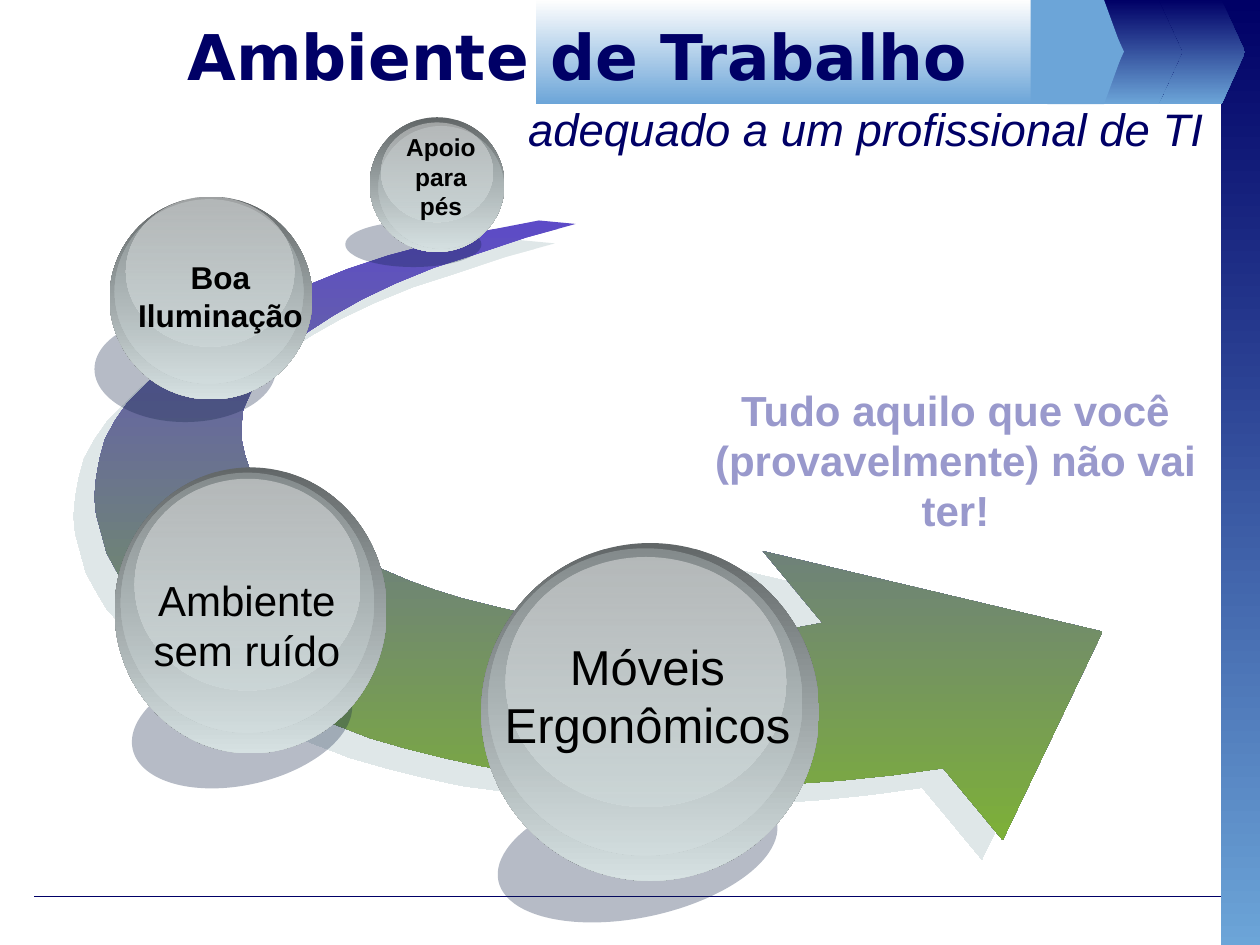
import lxml.etree
import pptx
import pptx.dml.color
import pptx.enum.dml
import pptx.enum.shapes
import pptx.enum.text
import pptx.oxml.ns
import pptx.util

Pt = pptx.util.Pt
qn = pptx.oxml.ns.qn
OVAL = pptx.enum.shapes.MSO_SHAPE.OVAL
RECT = pptx.enum.shapes.MSO_SHAPE.RECTANGLE

COLORS = {
    "navy": "000066", "sky": "6CA5D8", "white": "FEFEFE", "black": "000000",
    "lilac": "9999CC", "violet": "5D4BC7", "green": "7DB038",
    "arrow_shadow": "C1D1D3", "cast": "0F2145",
    "steel": "626768", "silver": "A8B1B2", "mist": "D6E1E2",
}

# Swoosh outline: outer edge, arrowhead, then inner edge back to the tail
SWOOSH_ORIGIN = (54, 126)
SWOOSH = [
    (308, 126), (277, 132), (248, 139), (222, 146), (198, 154), (176, 163),
    (155, 171), (137, 180), (120, 189), (106, 199), (93, 210), (83, 220),
    (73, 230), (66, 240), (60, 251), (57, 262), (55, 273), (54, 284),
    (55, 294), (58, 305), (61, 316), (67, 327), (73, 337), (82, 347),
    (91, 357), (103, 366), (115, 376), (128, 384), (143, 393), (158, 401),
    (176, 408), (194, 415), (212, 422), (233, 428), (253, 433), (276, 438),
    (299, 441), (323, 445), (347, 447), (372, 449), (398, 449), (426, 449),
    (453, 448), (481, 446), (510, 443), (539, 439),
    (573, 480), (630, 361), (436, 315), (470, 356),
    (454, 359), (436, 361), (419, 361), (402, 361), (384, 361), (366, 360),
    (348, 359), (331, 356), (314, 354), (297, 350), (280, 346), (264, 342),
    (248, 337), (234, 332), (220, 326), (206, 320), (194, 313), (182, 307),
    (172, 300), (163, 292), (155, 284), (148, 276), (143, 269), (140, 260),
    (138, 251), (138, 243), (139, 234), (143, 225), (148, 216), (156, 207),
    (165, 198), (177, 189), (191, 180), (207, 171), (226, 162), (248, 153),
    (273, 145), (300, 136), (329, 128),
]

# Boxes are left, top, width, height; rim and gloss are offsets inside the ball
BALLS = [
    dict(box=(275, 310.3, 193, 193), rim=(4, 3), gloss=(14, 8),
         cast=(283, 448.6, 162.7, 75.6), tilt=-12.1,
         caption=(270, 360, 200, 75), lines=["Móveis", "Ergonômicos"],
         size=28, bold=False),
    dict(box=(65.5, 267.1, 155.5, 163.4), rim=(3.6, 3), gloss=(11.5, 6.5),
         cast=(74.2, 379.4, 128.2, 69.1), tilt=-12.9,
         caption=(71.1, 324.7, 140, 64.8), lines=["Ambiente", "sem ruído"],
         size=24, bold=False),
    dict(box=(62.6, 112.3, 115.9, 115.9), rim=(3, 1.5), gloss=(9.4, 0),
         cast=(54, 180.7, 103.7, 60.5), tilt=0,
         caption=(61, 144, 130, 50.4), lines=["Boa", "Iluminação"],
         size=18, bold=True),
    dict(box=(211.3, 67, 77, 77), rim=(5, 5), gloss=(6.5, 3),
         cast=(197.3, 126.7, 77.8, 25.9), tilt=0,
         caption=(217, 72, 70, 57.6), lines=["Apoio", "para", "pés"],
         size=14, bold=True),
]


def rgb(name):
    return pptx.dml.color.RGBColor.from_string(COLORS[name])


def paint(shape, top, bottom=None, opacity=100):
    """Fill plainly, or from top to bottom, without line or shadow."""
    if bottom is None:
        shape.fill.solid()
        shape.fill.fore_color.rgb = rgb(top)
    else:
        shape.fill.gradient()
        shape.fill.gradient_angle = 270
        for stop, name, position in zip(shape.fill.gradient_stops, (top, bottom), (0, 1)):
            stop.color.rgb = rgb(name)
            stop.position = position
    if opacity < 100:
        for color in shape._element.spPr.iter(qn("a:srgbClr")):
            lxml.etree.SubElement(color, qn("a:alpha"), val=str(opacity * 1000))
    shape.line.fill.background()
    shape.shadow.inherit = False


def add_preset(slide, preset, box, *colors, opacity=100):
    shape = slide.shapes.add_shape(preset, *map(Pt, box))
    paint(shape, *colors, opacity=opacity)
    return shape


def add_outline(slide, points):
    start, *rest = [(Pt(x), Pt(y)) for x, y in points]
    builder = slide.shapes.build_freeform(*start)
    builder.add_line_segments(rest, close=True)
    return builder.convert_to_shape()


def write(frame, lines, size, color, font="Arial", bold=False, italic=False, wrap=True):
    frame.word_wrap = wrap
    frame.auto_size = pptx.enum.text.MSO_AUTO_SIZE.SHAPE_TO_FIT_TEXT
    for index, line in enumerate(lines):
        paragraph = frame.add_paragraph() if index else frame.paragraphs[0]
        paragraph.alignment = pptx.enum.text.PP_ALIGN.CENTER
        run = paragraph.add_run()
        run.text = line
        run.font.name, run.font.size = font, Pt(size)
        run.font.bold, run.font.italic = bold, italic
        run.font.color.rgb = rgb(color)


def add_label(slide, box, lines, size, color, **style):
    label = slide.shapes.add_textbox(*map(Pt, box))
    write(label.text_frame, lines, size, color, **style)


def add_chevron(slide, box, shoulder, *colors):
    left, top, width, height = box
    right, bottom = left + width, top + height
    chevron = add_outline(slide, [
        (left, bottom), (left + shoulder, bottom), (right, top + height / 2),
        (left + shoulder, top), (left, top)])
    paint(chevron, *colors)


def add_backdrop(slide, box):
    left, top, width, height = box
    side = left + width - 22.3
    # Footer rule
    rule = slide.shapes.add_connector(
        pptx.enum.shapes.MSO_CONNECTOR.STRAIGHT,
        Pt(left + 19.7), Pt(top + 512.5), Pt(side), Pt(top + 512.5))
    rule.line.color.rgb = rgb("navy")
    rule.line.width = Pt(0.75)
    lxml.etree.SubElement(rule._element.spPr, qn("a:effectLst"))
    # Side band and header chevrons
    add_preset(slide, RECT, (side, top, 22.3, height + 2), "navy", "sky")
    for x in (657.5, 621.5):
        add_chevron(slide, (left + x, top, 54, 59.5), 40.5, "navy", "sky")
    add_chevron(slide, (left + 598.5, top, 43.2, 59.5), 32.4, "sky")
    add_preset(slide, RECT, (left + 306, top, 301, 59.5), "white", "sky")
    add_chevron(slide, (left + 589, top, 53.3, 59), 39.6, "sky")


def add_title(slide, box):
    title = slide.shapes.title
    slide.shapes._spTree.append(title._element)  # in front of the header band
    title.left, title.top, title.width, title.height = map(Pt, box)
    title.text_frame.vertical_anchor = pptx.enum.text.MSO_ANCHOR.MIDDLE
    write(title.text_frame, ["Ambiente de Trabalho"], 36, "navy",
          font="DejaVu Sans", bold=True)


def add_swoosh(slide, box):
    dx, dy = box[0] - SWOOSH_ORIGIN[0], box[1] - SWOOSH_ORIGIN[1]
    swoosh = add_outline(slide, [(x + dx, y + dy) for x, y in SWOOSH])
    paint(swoosh, "violet", "green")
    effects = swoosh._element.spPr.find(qn("a:effectLst"))
    shadow = lxml.etree.SubElement(
        effects, qn("a:outerShdw"), dist=str(Pt(16.3)), dir=str(137 * 60000),
        algn="ctr", rotWithShape="0")
    color = lxml.etree.SubElement(shadow, qn("a:srgbClr"), val=COLORS["arrow_shadow"])
    lxml.etree.SubElement(color, qn("a:alpha"), val="50000")


def add_ball(slide, box, rim, gloss, cast, tilt, caption, lines, size, bold):
    left, top, width, height = box
    add_preset(slide, OVAL, cast, "cast", opacity=30).rotation = tilt
    add_preset(slide, OVAL, box, "steel", "mist")
    add_preset(slide, OVAL, (left + rim[0], top + rim[1], width * 0.93, height * 0.91),
               "silver", "mist", opacity=48)
    add_preset(slide, OVAL, (left + gloss[0], top + gloss[1], width * 0.83, height * 0.74),
               "white", "mist", opacity=38)
    add_label(slide, caption, lines, size, "black", bold=bold, wrap=False)


def main():
    deck = pptx.Presentation()
    deck.slide_width, deck.slide_height = Pt(720), Pt(540)
    slide = deck.slides.add_slide(deck.slide_layouts.get_by_name("Title Only"))

    add_backdrop(slide, (0, 0, 720, 540))
    add_title(slide, (36, 3.6, 588, 56))
    add_swoosh(slide, (54, 126, 576, 354))
    add_label(slide, (396, 216, 300, 93.6),
              ["Tudo aquilo que você (provavelmente) não vai ter!"],
              24, "lilac", bold=True)
    for ball in BALLS:
        add_ball(slide, **ball)
    add_label(slide, (288, 54, 414, 39), ["adequado a um profissional de TI"],
              26, "navy", italic=True)
    deck.save("out.pptx")


if __name__ == "__main__":
    main()
